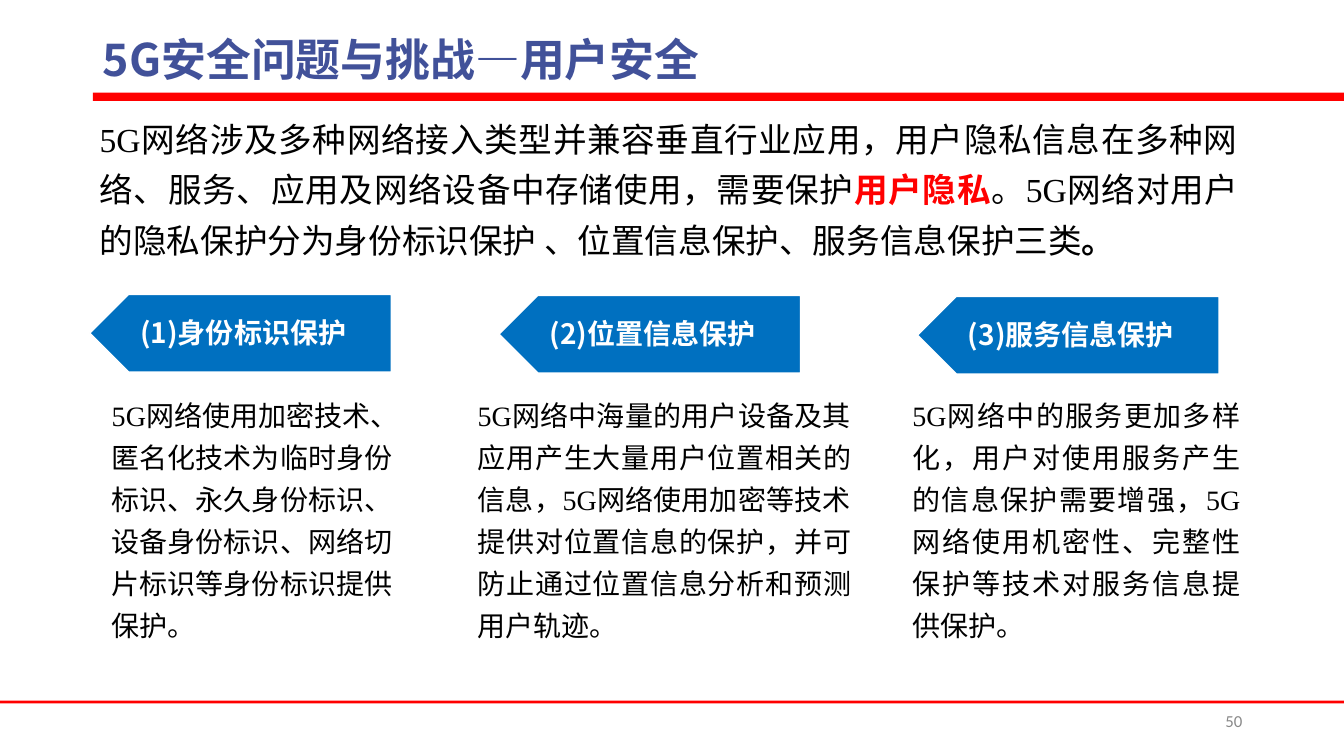
import pptx
import pptx.dml.color
import pptx.enum.shapes
import pptx.enum.text
import pptx.oxml
import pptx.oxml.ns
import pptx.util
from pptx.util import Inches

HEADING_FONT = "Noto Sans CJK SC"
BODY_FONT = "Times New Roman"
BLACK, WHITE, RED, BLUE = "000000", "FFFFFF", "FF0000", "0070C0"
MIDDLE = pptx.enum.text.MSO_ANCHOR.MIDDLE
JUSTIFY = pptx.enum.text.PP_ALIGN.JUSTIFY
LEFT = pptx.enum.text.PP_ALIGN.LEFT
RIGHT = pptx.enum.text.PP_ALIGN.RIGHT

INTRODUCTION = [
    ("5G网络涉及多种网络接入类型并兼容垂直行业应用，用户隐私信息在多种网络、服务、应用及网络设备中存储使用，需要保护", BLACK, False),
    ("用户隐私", RED, True),
    ("。5G网络对用户的隐私保护分为身份标识保护 、位置信息保护、服务信息保护三类", BLACK, False),
    ("。", BLACK, True),
]

PROTECTIONS = [
    (0.89, 2.92, "(1)身份标识保护", (1.01, 3.82, 2.99, 2.97), LEFT,
     "5G网络使用加密技术、匿名化技术为临时身份标识、永久身份标识、设备身份标识、网络切片标识等身份标识提供保护。"),
    (4.95, 2.93, "(2)位置信息保护", (4.64, 3.82, 3.9, 2.82), JUSTIFY,
     "5G网络中海量的用户设备及其应用产生大量用户位置相关的信息，5G网络使用加密等技术提供对位置信息的保护，并可防止通过位置信息分析和预测用户轨迹。"),
    (9.1, 2.94, "(3)服务信息保护", (8.95, 3.82, 3.45, 2.59), JUSTIFY,
     "5G网络中的服务更加多样化，用户对使用服务产生的信息保护需要增强，5G网络使用机密性、完整性保护等技术对服务信息提供保护。"),
]


def color(value):
    return pptx.dml.color.RGBColor.from_string(value)


def place(shape, box):
    shape.left, shape.top, shape.width, shape.height = map(Inches, box)


def format_paragraph(paragraph, size, font_name, fill, bold=False, alignment=LEFT, spacing=1.0):
    paragraph.alignment = alignment
    paragraph.line_spacing = spacing
    font = paragraph.font
    font.size = pptx.util.Pt(size)
    font.bold = bold
    font.color.rgb = color(fill)
    font.name = font_name
    properties = paragraph._p.pPr.find(pptx.oxml.ns.qn("a:defRPr"))
    east_asian = pptx.oxml.parse_xml(
        f'<a:ea {pptx.oxml.ns.nsdecls("a")} typeface="{HEADING_FONT}"/>')
    properties.find(pptx.oxml.ns.qn("a:latin")).addnext(east_asian)


def add_text(slide, box, text, size, font_name, fill, anchor=None, **style):
    shape = slide.shapes.add_textbox(*map(Inches, box))
    frame = shape.text_frame
    frame.word_wrap = True
    frame.vertical_anchor = anchor
    paragraph = frame.paragraphs[0]
    paragraph.text = text
    format_paragraph(paragraph, size, font_name, fill, **style)
    return shape


def add_filled_shape(slide, kind, box, fill):
    shape = slide.shapes.add_shape(kind, *map(Inches, box))
    shape.shadow.inherit = False
    shape.fill.solid()
    shape.fill.fore_color.rgb = color(fill)
    shape.line.fill.background()
    return shape


def add_rule(slide, box):
    add_filled_shape(slide, pptx.enum.shapes.MSO_SHAPE.RECTANGLE, box, RED)


def add_title(slide, text):
    title = slide.shapes.title
    place(title, (0.92, 0.33, 11.5, 0.58))
    frame = title.text_frame
    frame.text = text
    frame.word_wrap = True
    frame.auto_size = pptx.enum.text.MSO_AUTO_SIZE.NONE
    frame.vertical_anchor = MIDDLE
    format_paragraph(frame.paragraphs[0], 32, HEADING_FONT, "415199", bold=True, spacing=0.9)


def add_introduction(slide):
    shape = add_text(slide, (0.89, 1.03, 11.49, 1.57), "", 24, BODY_FONT, BLACK,
                     alignment=JUSTIFY, spacing=1.25)
    for text, fill, bold in INTRODUCTION:
        run = shape.text_frame.paragraphs[0].add_run()
        run.text = text
        run.font.color.rgb = color(fill)
        run.font.bold = bold


def add_protection(slide, left, top, heading, box, alignment, description):
    arrow = add_filled_shape(slide, pptx.enum.shapes.MSO_SHAPE.PENTAGON,
                             (left, top, 2.99, 0.77), BLUE)
    arrow.rotation = 180
    arrow.line.color.rgb = color(WHITE)
    arrow.line.width = pptx.util.Pt(1)
    label = add_text(slide, (left + 0.25, top + 0.01, 2.95, 0.77), heading, 20,
                     HEADING_FONT, WHITE, anchor=MIDDLE, bold=True, spacing=0.9)
    frame = label.text_frame
    frame.margin_left, frame.margin_right = Inches(0.25), Inches(0.16)
    frame.margin_top = frame.margin_bottom = Inches(0.08)
    add_text(slide, box, description, 20, BODY_FONT, BLACK,
             alignment=alignment, spacing=1.25)


def main():
    presentation = pptx.Presentation()
    presentation.slide_width = Inches(13.33)
    presentation.slide_height = Inches(7.5)
    slide = presentation.slides.add_slide(presentation.slide_layouts[5])
    add_rule(slide, (0, 6.95, 13.33, 0.03))
    add_rule(slide, (0.92, 0.92, 12.41, 0.08))
    add_title(slide, "5G安全问题与挑战—用户安全")
    add_introduction(slide)
    for protection in PROTECTIONS:
        add_protection(slide, *protection)
    add_text(slide, (9.42, 6.95, 3, 0.4), "50", 12, "Calibri", "898989",
             anchor=MIDDLE, alignment=RIGHT)
    presentation.save("out.pptx")


if __name__ == "__main__":
    main()
